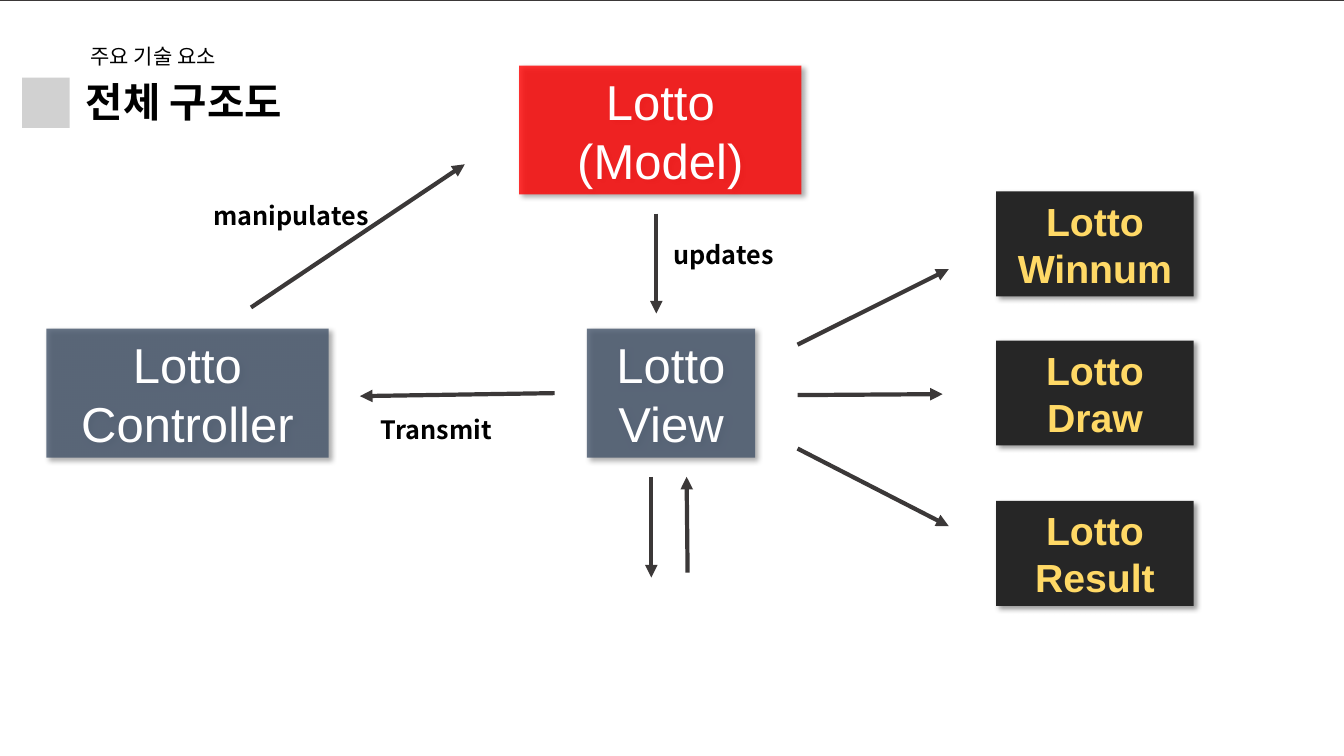
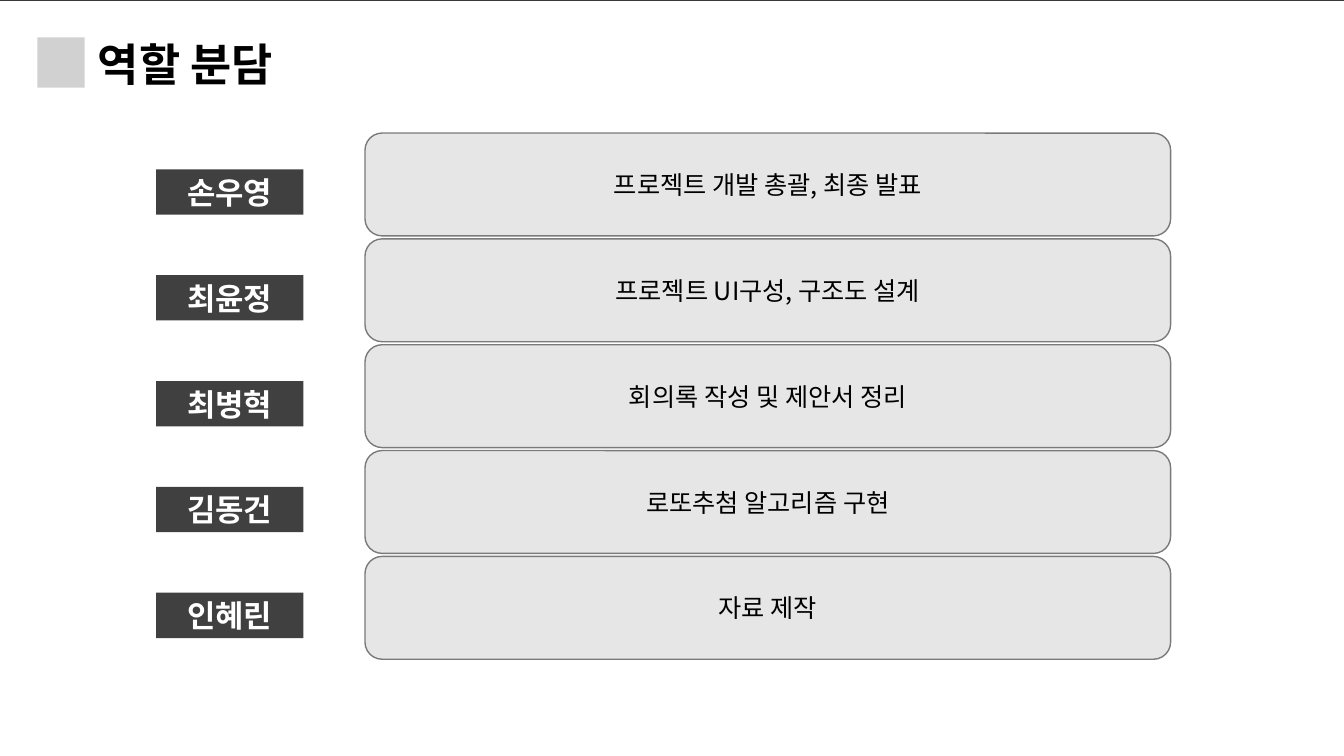
from lxml import etree
from pptx import Presentation
from pptx.dml.color import RGBColor
from pptx.enum.shapes import MSO_CONNECTOR, MSO_SHAPE
from pptx.enum.text import MSO_ANCHOR, MSO_AUTO_SIZE, PP_ALIGN
from pptx.oxml.ns import qn
from pptx.util import Emu, Pt

RECT, ROUNDED = MSO_SHAPE.RECTANGLE, MSO_SHAPE.ROUNDED_RECTANGLE
STRAIGHT = MSO_CONNECTOR.STRAIGHT
LEFT, CENTER = PP_ALIGN.LEFT, PP_ALIGN.CENTER
TOP, MIDDLE = MSO_ANCHOR.TOP, MSO_ANCHOR.MIDDLE
NO_AUTOFIT = MSO_AUTO_SIZE.NONE
TITLE_ONLY = 5
PX = 9144  # 100 px to the inch
SLIDE_W, SLIDE_H = 1333, 750


class Theme:
    korean, latin = "Noto Sans CJK KR", "Arial"
    backdrop = arrow = "3B3838"
    white, black = "FFFFFF", "000000"
    marker = "D1D1D1"
    model, component, output, output_text = "FF0000", "44546A", "262626", "FFD966"
    name_tag, role, role_edge = "404040", "E7E6E6", "7A7A7A"
    # text styles: font, size, colour, bold
    subtitle = (korean, 15, black, False)
    title_small = (korean, 29, black, True)
    title_large = (korean, 32, black, True)
    component_style = (latin, 35, white, False)
    output_style = (latin, 28, output_text, True)
    label_style = (korean, 18, black, True)
    name_style = (korean, 22, white, True)
    role_style = (korean, 18, black, False)


# Boxes are (left, top, width, height) in px
PANEL = (22, 20, 1291, 703)
FRAME_BANDS = [(0, 2, 1333, 25), (0, 15, 28, 735),
               (1288, 17, 45, 732), (0, 693, 1333, 57)]

STRUCTURE = {
    "title": "전체 구조도", "title_box": (75, 71, 340, 59),
    "title_style": Theme.title_small, "marker": (22, 77, 47, 50),
}
SUBTITLE = ("주요 기술 요소", (80, 38, 198, 35))
COMPONENTS = [
    ("Lotto\n(Model)", (515, 65, 280, 128), Theme.model),
    ("Lotto Controller", (46, 326, 280, 128), Theme.component),
    ("Lotto View", (582, 326, 167, 128), Theme.component),
]
OUTPUTS = [("Lotto Winnum", 190), ("Lotto Draw", 338), ("Lotto\nResult", 497)]
OUTPUT_LEFT, OUTPUT_W, OUTPUT_H = 988, 196, 104
ARROWS = [
    ((249, 305), (461, 163)),
    ((651, 212), (651, 311)),
    ((550, 390), (357, 393)),
    ((791, 342), (941, 267)),
    ((791, 392), (935, 391)),
    ((791, 445), (941, 522)),
    ((646, 473), (646, 573)),
    ((682, 568), (681, 473)),
]
ARROW_LABELS = [
    ("manipulates", (202, 194, 184, 40)),
    ("updates", (658, 233, 122, 40)),
    ("Transmit", (368, 406, 150, 40)),
]

ROLES = {
    "title": "역할 분담", "title_box": (87, 31, 473, 64),
    "title_style": Theme.title_large, "marker": (37, 37, 47, 50),
}
MEMBERS = [
    ("손우영", "프로젝트 개발 총괄, 최종 발표"),
    ("최윤정", "프로젝트 UI구성, 구조도 설계"),
    ("최병혁", "회의록 작성 및 제안서 정리"),
    ("김동건", "로또추첨 알고리즘 구현"),
    ("인혜린", "자료 제작"),
]
MEMBER_PITCH = 105
NAME_BOX = (155, 168, 146, 45)
ROLE_BOX = (362, 132, 799, 102)


def emu(lengths):
    return [Emu(length * PX) for length in lengths]


def rgb(colour):
    return RGBColor.from_string(colour)


def write(shape, text, style, align=CENTER, anchor=MIDDLE):
    font_name, size, colour, bold = style
    frame = shape.text_frame
    frame.text = text
    frame.word_wrap = True
    frame.auto_size = NO_AUTOFIT
    frame.vertical_anchor = anchor
    for paragraph in frame.paragraphs:
        paragraph.alignment = align
        font = paragraph.font
        font.name, font.size, font.bold = font_name, Pt(size), bold
        font.color.rgb = rgb(colour)
        defaults = paragraph._p.pPr.find(qn("a:defRPr"))
        etree.SubElement(defaults, qn("a:ea"), typeface=font_name)


def add_text(slide, text, box, style):
    write(slide.shapes.add_textbox(*emu(box)), text, style, LEFT, TOP)


def add_box(slide, box, fill, edge=None, kind=RECT):
    shape = slide.shapes.add_shape(kind, *emu(box))
    shape.shadow.inherit = False
    shape.fill.solid()
    shape.fill.fore_color.rgb = rgb(fill)
    if edge:
        shape.line.color.rgb = rgb(edge)
        shape.line.width = Pt(1)
    else:
        shape.line.fill.background()
    return shape


def add_alpha(colour_element, percent):
    etree.SubElement(colour_element, qn("a:alpha"), val=str(percent * 1000))


def cast_shadow(shape):
    """Give the shape a soft shadow to the lower right."""
    effects = shape._element.spPr.find(qn("a:effectLst"))
    shadow = etree.SubElement(
        effects, qn("a:outerShdw"), blurRad=str(Pt(4)), dist=str(Pt(3)),
        dir=str(45 * 60000), algn="tl", rotWithShape="0")
    add_alpha(etree.SubElement(shadow, qn("a:srgbClr"), val=Theme.black), 40)


def add_arrow(slide, start, end):
    arrow = slide.shapes.add_connector(STRAIGHT, *emu(start + end))
    arrow.line.color.rgb = rgb(Theme.arrow)
    arrow.line.width = Pt(3)
    etree.SubElement(arrow.line._get_or_add_ln(), qn("a:tailEnd"), type="triangle")
    etree.SubElement(arrow._element.spPr, qn("a:effectLst"))


def add_slide(prs, heading):
    """Start a slide with the shared backdrop, frame, marker and title."""
    slide = prs.slides.add_slide(prs.slide_layouts[TITLE_ONLY])
    slide.background.fill.solid()
    slide.background.fill.fore_color.rgb = rgb(Theme.backdrop)
    cast_shadow(add_box(slide, PANEL, Theme.white))
    for band in FRAME_BANDS:
        add_box(slide, band, Theme.white, Theme.white)
    add_box(slide, heading["marker"], Theme.marker)
    title = slide.shapes.title
    title.left, title.top, title.width, title.height = emu(heading["title_box"])
    write(title, heading["title"], heading["title_style"], LEFT, TOP)
    # the title stacks above the panel
    slide.shapes._spTree.append(title._element)
    return slide


def build_structure(prs):
    slide = add_slide(prs, STRUCTURE)
    add_text(slide, *SUBTITLE, Theme.subtitle)
    for text, box, fill in COMPONENTS:
        component = add_box(slide, box, fill)
        add_alpha(component._element.spPr.find(".//" + qn("a:srgbClr")), 80)
        cast_shadow(component)
        write(component, text, Theme.component_style)
    for text, top in OUTPUTS:
        output = add_box(slide, (OUTPUT_LEFT, top, OUTPUT_W, OUTPUT_H), Theme.output)
        cast_shadow(output)
        write(output, text, Theme.output_style)
    for start, end in ARROWS:
        add_arrow(slide, start, end)
    for text, box in ARROW_LABELS:
        add_text(slide, text, box, Theme.label_style)


def build_roles(prs):
    slide = add_slide(prs, ROLES)
    for row, (name, role) in enumerate(MEMBERS):
        name_box, role_box = (
            (left, top + row * MEMBER_PITCH, width, height)
            for left, top, width, height in (NAME_BOX, ROLE_BOX))
        write(add_box(slide, name_box, Theme.name_tag), name, Theme.name_style)
        write(add_box(slide, role_box, Theme.role, Theme.role_edge, ROUNDED),
              role, Theme.role_style)


def main():
    prs = Presentation()
    prs.slide_width, prs.slide_height = emu((SLIDE_W, SLIDE_H))
    build_structure(prs)
    build_roles(prs)
    prs.save("out.pptx")


if __name__ == "__main__":
    main()
